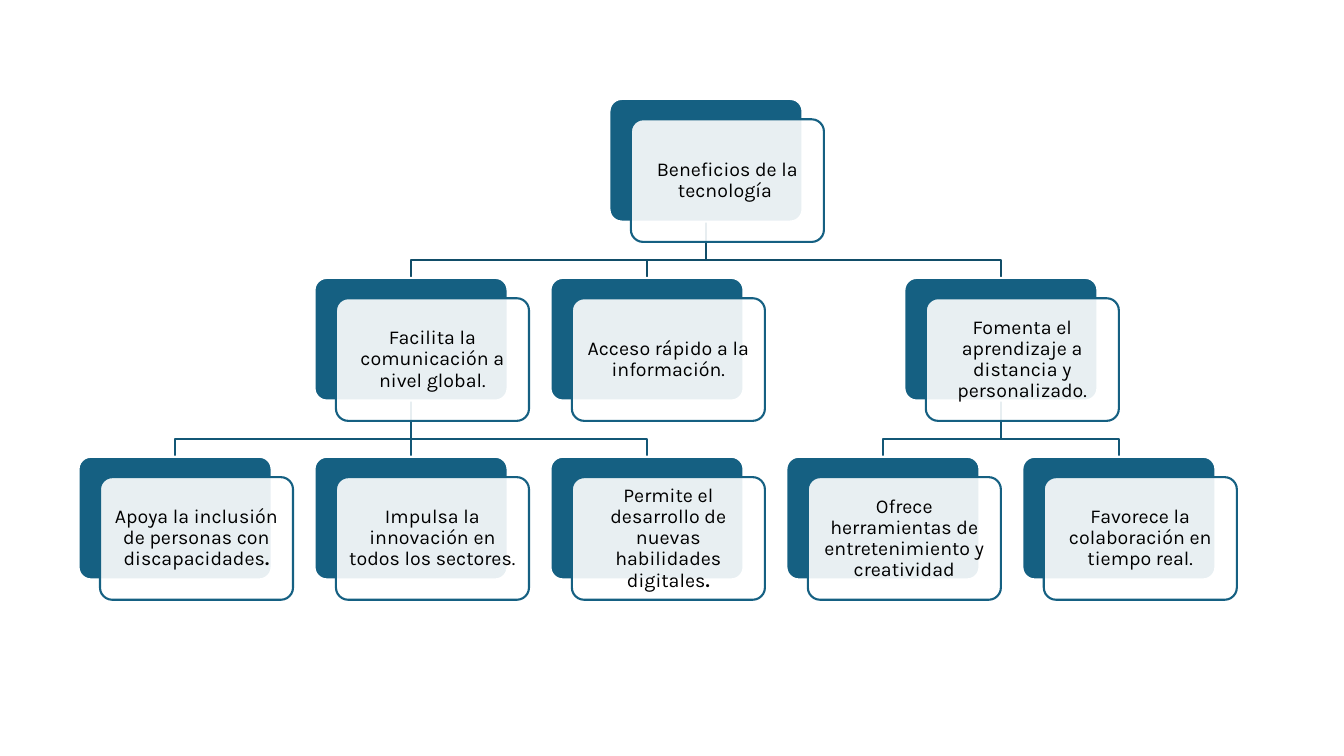
"""Build an organisation chart slide on the benefits of technology."""
from lxml.etree import SubElement
from pptx import Presentation
from pptx.dml.color import RGBColor
from pptx.enum.shapes import MSO_CONNECTOR, MSO_SHAPE
from pptx.enum.text import MSO_ANCHOR, PP_ALIGN
from pptx.oxml.ns import qn
from pptx.util import Pt

TEAL = RGBColor(0x15, 0x60, 0x82)
ROOT_LINE = RGBColor(0x11, 0x4D, 0x68)
BRANCH_LINE = RGBColor(0x13, 0x57, 0x76)
WHITE = RGBColor(0xFF, 0xFF, 0xFF)
BLACK = RGBColor(0x00, 0x00, 0x00)

CHART_LEFT, CHART_TOP = 56.1, 70.7
COLUMN_STEP, ROW_STEP = 168.54, 127.8
BOX_WIDTH, BOX_HEIGHT = 137.9, 87.6
CARD_SHIFT_X, CARD_SHIFT_Y = 15.3, 14.55
BEND_DROP = 27.3

# level, column, text, bold ending, index of the parent
NODES = [
    (0, 2.25, "Beneficios de la tecnología ", "", None),
    (1, 1, "Facilita la comunicación a nivel global.", "", 0),
    (2, 0, "Apoya la inclusión de personas con discapacidades", ".", 1),
    (2, 1, "Impulsa la innovación en todos los sectores.", "", 1),
    (2, 2, "Permite el desarrollo de nuevas habilidades digitales", ".", 1),
    (1, 2, "Acceso rápido a la información.", "", 0),
    (1, 3.5, "Fomenta el aprendizaje a distancia y personalizado.", "", 0),
    (2, 3, "Ofrece herramientas de entretenimiento y creatividad", "", 6),
    (2, 4, "Favorece la colaboración en tiempo real.", "", 6),
]

presentation = Presentation()
presentation.slide_width = Pt(960)
presentation.slide_height = Pt(540)
slide = presentation.slides.add_slide(presentation.slide_layouts[6])


def add_box(left, top, fill_color, line_color):
    box = slide.shapes.add_shape(
        MSO_SHAPE.ROUNDED_RECTANGLE, Pt(left), Pt(top), Pt(BOX_WIDTH), Pt(BOX_HEIGHT))
    box.adjustments[0] = 0.1
    box.shadow.inherit = False
    box.fill.solid()
    box.fill.fore_color.rgb = fill_color
    box.line.color.rgb = line_color
    box.line.width = Pt(1.5)
    return box


panels = []
for level, column, text, bold_ending, parent in NODES:
    left = CHART_LEFT + column * COLUMN_STEP
    top = CHART_TOP + level * ROW_STEP
    panels.append(add_box(left, top, TEAL, WHITE))

    card = add_box(left + CARD_SHIFT_X, top + CARD_SHIFT_Y, WHITE, TEAL)
    card_color = card.fill._xPr.find(qn("a:solidFill"))[0]
    SubElement(card_color, qn("a:alpha"), val="90000")

    frame = card.text_frame
    frame.word_wrap = True
    frame.vertical_anchor = MSO_ANCHOR.MIDDLE
    frame.margin_left = frame.margin_right = Pt(4.2)
    frame.margin_top = frame.margin_bottom = Pt(4.2)
    paragraph = frame.paragraphs[0]
    paragraph.alignment = PP_ALIGN.CENTER
    paragraph.line_spacing = 0.9
    paragraph.font.name = "Karla"
    paragraph.font.size = Pt(14)
    paragraph.font.color.rgb = BLACK
    paragraph.add_run().text = text
    if bold_ending:
        ending = paragraph.add_run()
        ending.text = bold_ending
        ending.font.bold = True

for panel, (level, column, text, bold_ending, parent) in zip(panels, NODES):
    if parent is None:
        continue
    parent_panel = panels[parent]
    start_x = parent_panel.left + parent_panel.width // 2
    start_y = parent_panel.top + parent_panel.height
    end_x = panel.left + panel.width // 2
    end_y = panel.top
    if start_x == end_x:
        link = slide.shapes.add_connector(
            MSO_CONNECTOR.STRAIGHT, start_x, start_y, end_x, end_y)
        link.begin_connect(parent_panel, 2)
        link.end_connect(panel, 0)
    else:
        bend_y = start_y + Pt(BEND_DROP)
        builder = slide.shapes.build_freeform(start_x, start_y)
        builder.add_line_segments(
            [(start_x, bend_y), (end_x, bend_y), (end_x, end_y)], close=False)
        link = builder.convert_to_shape()
        link.fill.background()
    link.line.color.rgb = ROOT_LINE if level == 1 else BRANCH_LINE
    link.line.width = Pt(1.5)
    SubElement(link._element.spPr, qn("a:effectLst"))
    slide.shapes._spTree.insert(2, link._element)

presentation.save("out.pptx")
